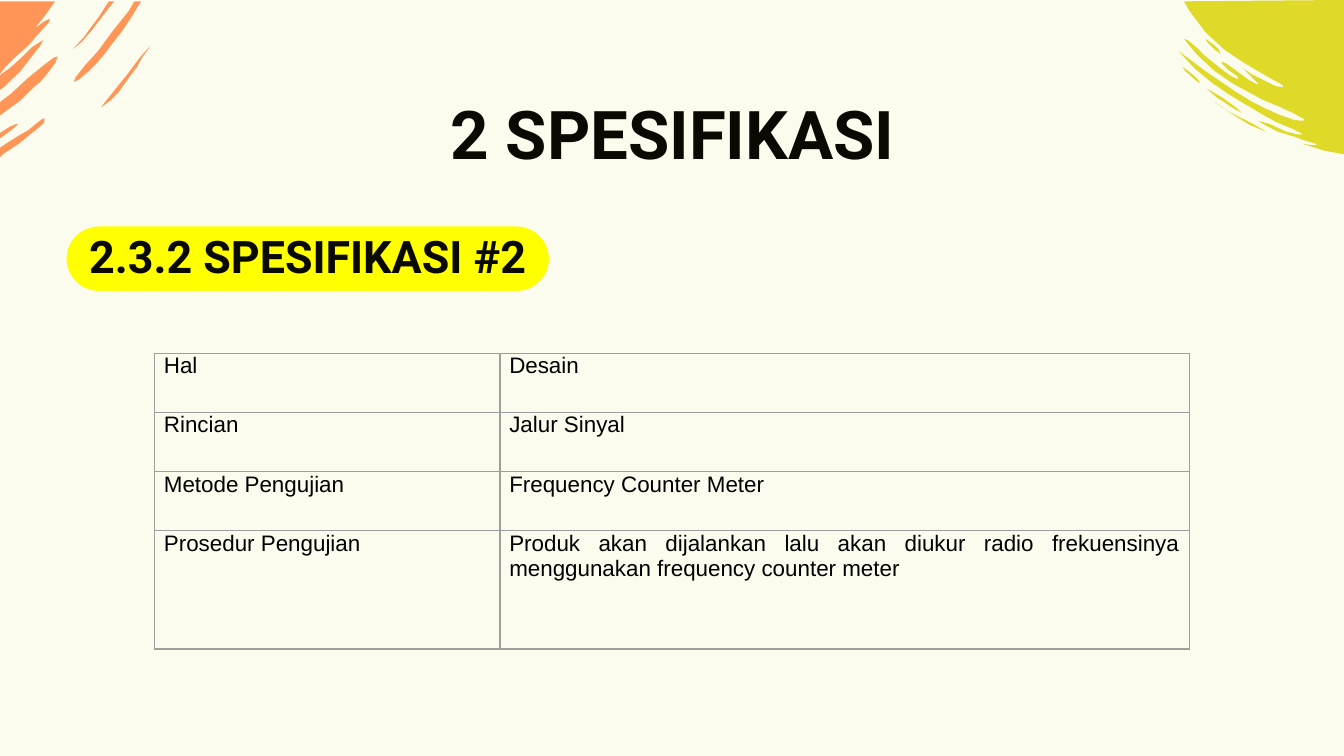
from lxml import etree
from pptx import Presentation
from pptx import util as u
from pptx.dml import color
from pptx.enum import shapes, text
from pptx.oxml import ns

COLORS = {
    "background": "FCFCEE", "highlight": "FFFF00", "heading": "0A0902",
    "body": "000000", "border": "9E9E9E", "olive": "DFD927", "orange": "FF9557",
}


def rgb(name):
    return color.RGBColor.from_string(COLORS[name])


def write_text(frame, content, font="Arial", size=12, ink="body", bold=False,
               align=text.PP_ALIGN.CENTER, space_after=0):
    frame.word_wrap = True
    paragraph = frame.paragraphs[0]
    paragraph.alignment = align
    paragraph.space_after = u.Pt(space_after)
    run = paragraph.add_run()
    run.text = content
    run.font.name = font
    run.font.size = u.Pt(size)
    run.font.bold = bold
    run.font.color.rgb = rgb(ink)


# Widescreen page, 16:9
presentation = Presentation()
presentation.slide_width = u.Inches(10)
presentation.slide_height = u.Inches(10 * 9 / 16)
slide = presentation.slides.add_slide(presentation.slide_layouts[6])
slide.background.fill.solid()
slide.background.fill.fore_color.rgb = rgb("background")

# Highlight behind the section heading
highlight = slide.shapes.add_shape(
    shapes.MSO_SHAPE.ROUNDED_RECTANGLE,
    u.Inches(0.49), u.Inches(1.68), u.Inches(3.6), u.Inches(0.49))
highlight.adjustments[0] = 0.5
highlight.shadow.inherit = False
highlight.fill.solid()
highlight.fill.fore_color.rgb = rgb("highlight")
highlight.line.color.rgb = rgb("background")
highlight.line.width = u.Pt(0.75)

# Brush strokes in the corners: outlines in hundredths of an inch
olive_strokes = [
    [(1000, 0), (1001, 115), (985, 112), (969, 107), (976, 108), (980, 108), (979, 107),
     (969, 104), (964, 102), (951, 98), (943, 94), (936, 90), (944, 92), (957, 98),
     (966, 100), (970, 100), (962, 96), (950, 91), (939, 85), (929, 79), (914, 70),
     (901, 61), (888, 50), (877, 38), (885, 44), (897, 53), (919, 68), (932, 76),
     (940, 80), (951, 85), (962, 89), (969, 90), (971, 89), (962, 84), (951, 79),
     (939, 74), (917, 62), (904, 53), (891, 41), (881, 29), (884, 30), (890, 35),
     (896, 41), (907, 50), (915, 56), (921, 59), (921, 57), (914, 52), (909, 47),
     (909, 46), (912, 47), (919, 52), (930, 60), (936, 63), (936, 62), (931, 57),
     (925, 51), (931, 55), (941, 60), (949, 64), (955, 65), (954, 63), (943, 57),
     (926, 47), (911, 37), (897, 24), (885, 8), (881, 1)],
    [(897, 29), (900, 31), (904, 34), (907, 37), (908, 40), (904, 37), (898, 31)],
    [(880, 50), (883, 52), (888, 56), (892, 60), (893, 62), (890, 60), (882, 53)],
    [(898, 66), (905, 70), (910, 73), (917, 78), (922, 82), (924, 84), (915, 79),
     (911, 76), (906, 73), (899, 67)],
    [(904, 76), (908, 79), (916, 84), (926, 89), (932, 92), (942, 98), (930, 93),
     (917, 85)],
]
orange_strokes = [
    [(0, 103), (7, 98), (13, 93), (13, 92), (8, 94), (0, 99)],
    [(0, 117), (2, 115), (14, 107), (25, 98), (30, 94), (33, 91), (33, 88), (31, 89),
     (27, 92), (21, 97), (14, 101), (6, 106), (0, 110)],
    [(0, 86), (4, 83), (15, 75), (25, 65), (30, 61), (35, 55), (41, 47), (43, 42),
     (40, 43), (32, 49), (21, 58), (8, 70), (0, 76)],
    [(75, 80), (82, 75), (88, 69), (98, 55), (102, 50), (105, 44), (112, 34),
     (104, 43), (95, 55)],
    [(0, 67), (4, 64), (16, 52), (26, 39), (30, 34), (32, 30), (24, 35), (16, 43),
     (7, 51), (0, 56)],
    [(55, 61), (59, 59), (66, 53), (72, 47), (78, 40), (84, 32), (91, 23), (97, 14),
     (105, 1), (100, 1), (96, 8), (84, 23), (73, 38), (63, 49), (56, 58)],
    [(54, 37), (61, 31), (68, 23), (81, 6), (85, 1), (81, 1), (74, 12), (68, 20),
     (63, 27)],
    [(0, 55), (4, 50), (12, 42), (21, 34), (28, 26), (37, 16), (37, 14), (33, 16),
     (26, 21), (34, 11), (41, 1), (0, 1)],
]
for strokes, paint in ((olive_strokes, "olive"), (orange_strokes, "orange")):
    builder = slide.shapes.build_freeform(*strokes[0][0], scale=u.Inches(0.01))
    builder.add_line_segments(strokes[0][1:])
    for stroke in strokes[1:]:
        builder.move_to(*stroke[0])
        builder.add_line_segments(stroke[1:])
    shape = builder.convert_to_shape()
    shape.shadow.inherit = False
    shape.fill.solid()
    shape.fill.fore_color.rgb = rgb(paint)
    shape.line.fill.background()

# Title and section heading
for content, box, size, anchor in (
    ("2 SPESIFIKASI", (1.89, 0.59, 6.23, 1.15), 36, text.MSO_ANCHOR.TOP),
    ("2.3.2 SPESIFIKASI #2", (0.49, 1.64, 3.6, 0.52), 24, text.MSO_ANCHOR.MIDDLE),
):
    frame = slide.shapes.add_textbox(*map(u.Inches, box)).text_frame
    frame.margin_left = frame.margin_right = u.Inches(0.1)
    frame.margin_top = frame.margin_bottom = u.Inches(0.1)
    frame.vertical_anchor = anchor
    write_text(frame, content, font="Roboto", size=size, ink="heading", bold=True)

# Specification table
rows = [
    ("Hal", "Desain"),
    ("Rincian", "Jalur Sinyal"),
    ("Metode Pengujian", "Frequency Counter Meter"),
    ("Prosedur Pengujian",
     "Produk akan dijalankan lalu akan diukur radio frekuensinya "
     "menggunakan frequency counter meter"),
]
table = slide.shapes.add_table(len(rows), 2, u.Inches(1.15), u.Inches(2.63),
                               u.Inches(7.7), u.Inches(2.2)).table
table.first_row = table.horz_banding = False
for column, width in zip(table.columns, (2.57, 5.13)):
    column.width = u.Inches(width)
for row, height in zip(table.rows, (0.44, 0.44, 0.44, 0.88)):
    row.height = u.Inches(height)

for row, contents in zip(table.rows, rows):
    for cell, content in zip(row.cells, contents):
        cell.margin_left = cell.margin_right = u.Inches(0.07)
        cell.margin_top = cell.margin_bottom = 0
        write_text(cell.text_frame, content, align=text.PP_ALIGN.JUSTIFY, space_after=6)
        properties = cell._tc.get_or_add_tcPr()
        for side in ("lnL", "lnR", "lnT", "lnB"):
            border = etree.SubElement(properties, ns.qn(f"a:{side}"), w=str(u.Pt(0.75)))
            fill = etree.SubElement(border, ns.qn("a:solidFill"))
            etree.SubElement(fill, ns.qn("a:srgbClr"), val=COLORS["border"])
        cell.fill.background()

presentation.save("out.pptx")
